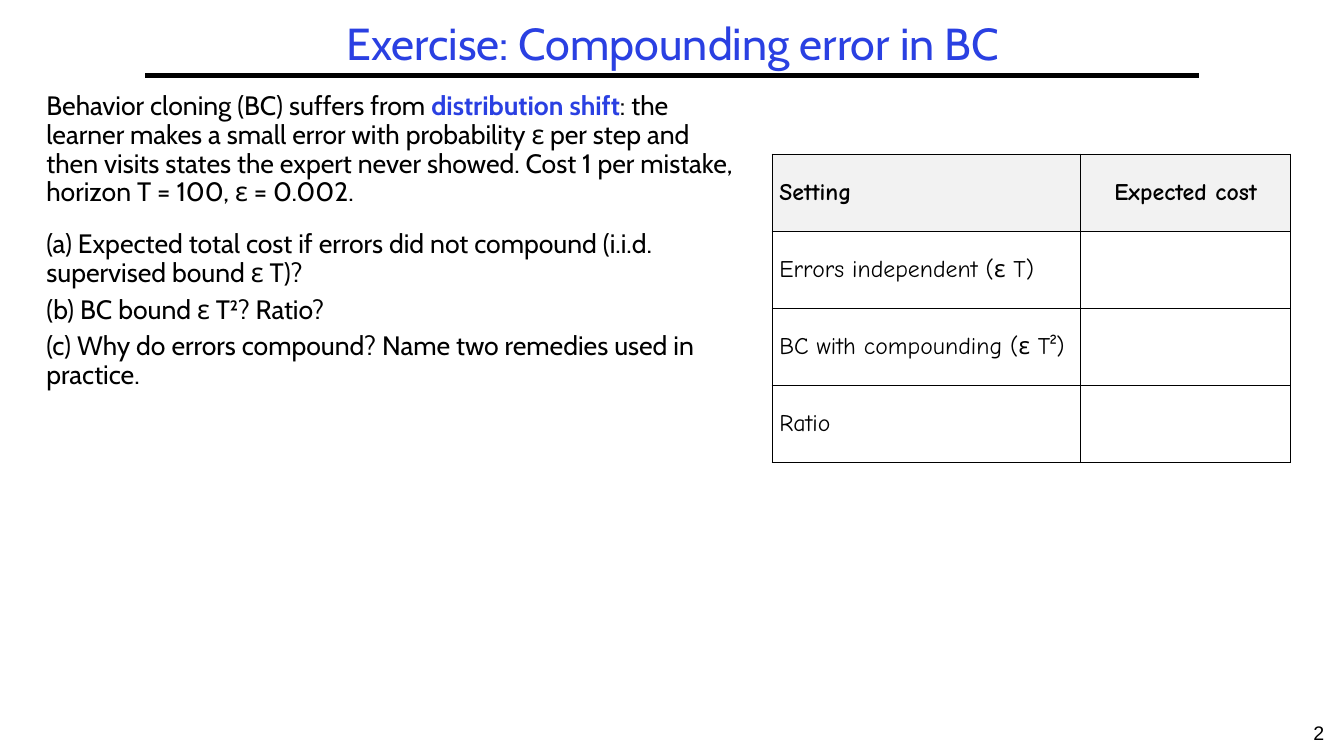
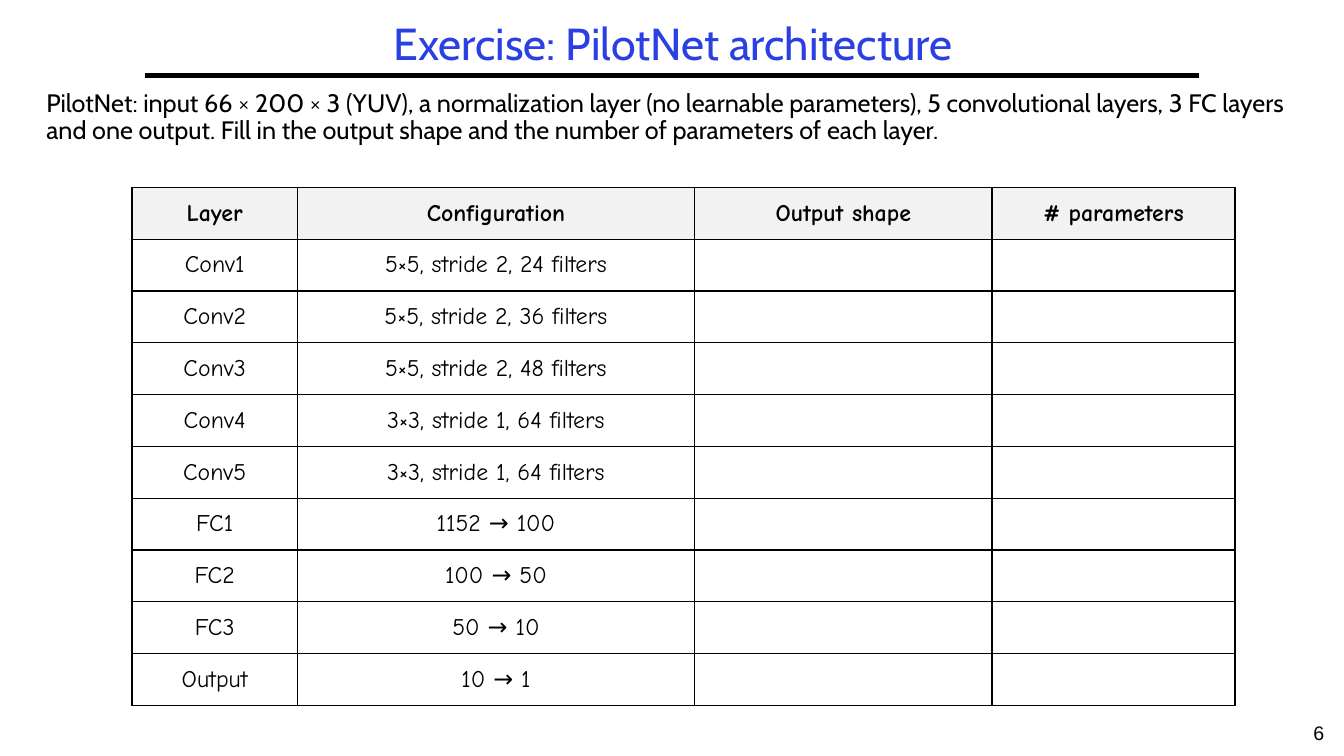
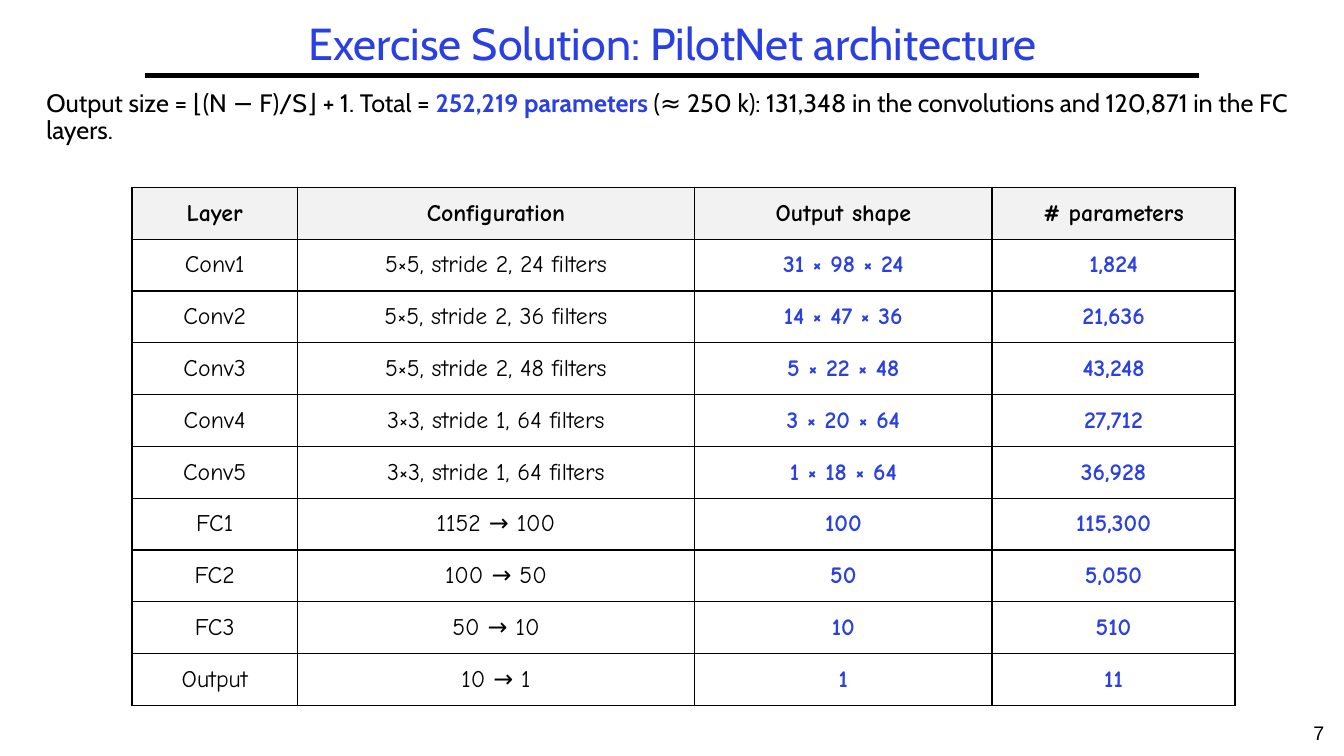
from lxml import etree
from pptx import Presentation
from pptx.dml.color import RGBColor
from pptx.enum import shapes, text
from pptx.oxml.ns import qn
from pptx.util import Inches, Pt

BLACK = RGBColor(0x00, 0x00, 0x00)
BLUE = RGBColor(0x2A, 0x40, 0xE2)
HEADER_GREY = RGBColor(0xF2, 0xF2, 0xF2)

TITLE_FONT = "Cabin"
TABLE_FONT = "Comic Neue"
NUMBER_FONT = "Arial"

LEFT, CENTER = text.PP_ALIGN.LEFT, text.PP_ALIGN.CENTER

# Network layers: name, configuration, output shape, parameter count
NETWORK_HEADER = ["Layer", "Configuration", "Output shape", "# parameters"]
NETWORK_LAYERS = [
    ["Conv1", "5×5, stride 2, 24 filters", "31 × 98 × 24", "1,824"],
    ["Conv2", "5×5, stride 2, 36 filters", "14 × 47 × 36", "21,636"],
    ["Conv3", "5×5, stride 2, 48 filters", "5 × 22 × 48", "43,248"],
    ["Conv4", "3×3, stride 1, 64 filters", "3 × 20 × 64", "27,712"],
    ["Conv5", "3×3, stride 1, 64 filters", "1 × 18 × 64", "36,928"],
    ["FC1", "1152 → 100", "100", "115,300"],
    ["FC2", "100 → 50", "50", "5,050"],
    ["FC3", "50 → 10", "10", "510"],
    ["Output", "10 → 1", "1", "11"],
]


class Deck:
    """Holds the shared style and the current slide."""

    def __init__(self):
        self.presentation = Presentation()
        self.presentation.slide_width = Inches(13.33)
        self.presentation.slide_height = Inches(7.5)
        self.slide = None

    def add_slide(self, title, number):
        layout = self.presentation.slide_layouts[1]
        self.slide = self.presentation.slides.add_slide(layout)
        self.add_rule()
        self.add_number(number)
        self.set_title(title)

    def add_run(self, paragraph, words, font, size, color=BLACK, bold=False):
        run = paragraph.add_run()
        run.text = words
        run.font.name = font
        run.font.size = Pt(size)
        run.font.color.rgb = color
        run.font.bold = bold

    def place(self, shape, left, top, width, height):
        shape.left, shape.top = Inches(left), Inches(top)
        shape.width, shape.height = Inches(width), Inches(height)

    def add_rule(self):
        rule = self.slide.shapes.add_connector(
            shapes.MSO_CONNECTOR.STRAIGHT,
            Inches(1.44), Inches(0.75), Inches(11.89), Inches(0.75))
        rule.line.color.rgb = BLACK
        rule.line.width = Pt(3)
        etree.SubElement(rule._element.spPr, qn("a:effectLst"))

    def add_number(self, number):
        box = self.slide.shapes.add_textbox(
            Inches(12.83), Inches(7.1), Inches(0.5), Inches(0.4))
        box.text_frame.word_wrap = True
        paragraph = box.text_frame.paragraphs[0]
        paragraph.alignment = CENTER
        self.add_run(paragraph, str(number), NUMBER_FONT, 14)

    def set_title(self, title):
        shape = self.slide.shapes.title
        self.place(shape, 1.44, 0.17, 10.47, 0.58)
        frame = shape.text_frame
        frame.auto_size = text.MSO_AUTO_SIZE.NONE
        frame.vertical_anchor = text.MSO_ANCHOR.MIDDLE
        paragraph = frame.paragraphs[0]
        paragraph.alignment = CENTER
        paragraph.line_spacing = 0.9
        self.add_run(paragraph, title, TITLE_FONT, 32, BLUE)

    def set_body(self, bounds, size, paragraphs):
        """Each paragraph is (space before, runs); odd runs are highlighted."""
        shape = self.slide.placeholders[1]
        self.place(shape, *bounds)
        frame = shape.text_frame
        frame.auto_size = text.MSO_AUTO_SIZE.NONE
        for index, (space, runs) in enumerate(paragraphs):
            paragraph = frame.paragraphs[0] if index == 0 else frame.add_paragraph()
            properties = paragraph._p.get_or_add_pPr()
            properties.set("marL", "0")
            properties.set("indent", "0")
            etree.SubElement(properties, qn("a:buNone"))
            paragraph.line_spacing = 0.9
            paragraph.space_before = Pt(space)
            for position, words in enumerate(runs):
                strong = position % 2 == 1
                self.add_run(paragraph, words, TITLE_FONT, size,
                             BLUE if strong else BLACK, strong)

    def add_table(self, bounds, column_widths, rows, first_alignment=CENTER):
        """The first row is the header; columns from the third hold answers."""
        left, top, width, height = (Inches(length) for length in bounds)
        table = self.slide.shapes.add_table(
            len(rows), len(column_widths), left, top, width, height).table
        table.first_row = table.horz_banding = False
        for column, column_width in zip(table.columns, column_widths):
            column.width = Inches(column_width)
        for row_index, row in enumerate(rows):
            for column_index, words in enumerate(row):
                cell = table.cell(row_index, column_index)
                alignment = CENTER if column_index else first_alignment
                self.fill_cell(cell, words, alignment, header=row_index == 0,
                               answer=row_index > 0 and column_index > 1)

    def fill_cell(self, cell, words, alignment, header, answer):
        self.add_borders(cell)
        if header:
            cell.fill.solid()
            cell.fill.fore_color.rgb = HEADER_GREY
        else:
            cell.fill.background()
        cell.margin_left = cell.margin_right = Inches(0.07)
        cell.margin_top = cell.margin_bottom = Inches(0.03)
        cell.vertical_anchor = text.MSO_ANCHOR.MIDDLE
        if words:
            paragraph = cell.text_frame.paragraphs[0]
            paragraph.alignment = alignment
            self.add_run(paragraph, words, TABLE_FONT, 17,
                         BLUE if answer else BLACK, header or answer)

    def add_borders(self, cell):
        properties = cell._tc.get_or_add_tcPr()
        for side in ("a:lnL", "a:lnR", "a:lnT", "a:lnB"):
            border = etree.SubElement(properties, qn(side), w=str(Pt(1)))
            fill = etree.SubElement(border, qn("a:solidFill"))
            etree.SubElement(fill, qn("a:srgbClr"), val=str(BLACK))

    def add_network_slide(self, title, number, runs, layers):
        self.add_slide(title, number)
        self.set_body((0.36, 0.85, 12.58, 0.98), 18, [(0, runs)])
        self.add_table((1.31, 1.86, 10.94, 5.14), [1.64, 3.94, 2.95, 2.41],
                       [NETWORK_HEADER] + layers)


def main():
    deck = Deck()

    # Compounding error exercise
    deck.add_slide("Exercise: Compounding error in BC", 2)
    deck.set_body((0.36, 0.87, 7.11, 6.01), 19, [
        (0, ["Behavior cloning (BC) suffers from ", "distribution shift",
             ": the learner makes a small error with probability ε per step and "
             "then visits states the expert never showed. Cost 1 per mistake, "
             "horizon T = 100, ε = 0.002."]),
        (16.5, ["(a) Expected total cost if errors did not compound "
                "(i.i.d. supervised bound ε T)?"]),
        (5.7, ["(b) BC bound ε T²? Ratio?"]),
        (5.7, ["(c) Why do errors compound? Name two remedies used in practice."]),
    ])
    deck.add_table((7.66, 1.53, 5.14, 3.06), [3.06, 2.08], [
        ["Setting", "Expected cost"],
        ["Errors independent (ε T)", ""],
        ["BC with compounding (ε T²)", ""],
        ["Ratio", ""],
    ], first_alignment=LEFT)

    # Architecture exercise, with the answers left open
    deck.add_network_slide(
        "Exercise: PilotNet architecture", 6,
        ["PilotNet: input 66 × 200 × 3 (YUV), a normalization layer (no learnable "
         "parameters), 5 convolutional layers, 3 FC layers and one output. Fill in "
         "the output shape and the number of parameters of each layer."],
        [layer[:2] + ["", ""] for layer in NETWORK_LAYERS])

    # Architecture solution
    deck.add_network_slide(
        "Exercise Solution: PilotNet architecture", 7,
        ["Output size = ⌊(N − F)/S⌋ + 1. Total = ", "252,219 parameters",
         " (≈ 250 k): 131,348 in the convolutions and 120,871 in the FC layers."],
        NETWORK_LAYERS)

    deck.presentation.save("out.pptx")


if __name__ == "__main__":
    main()
